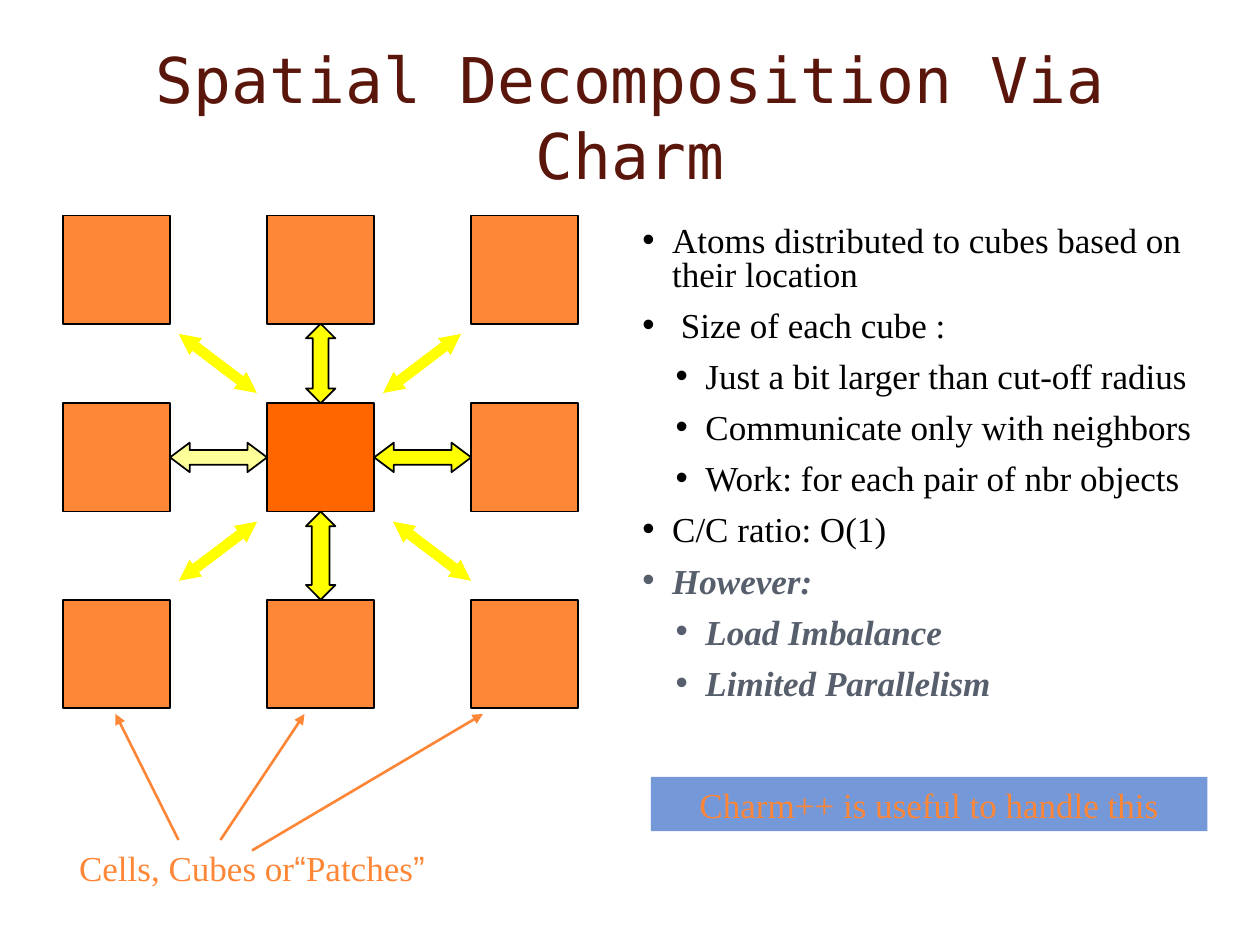
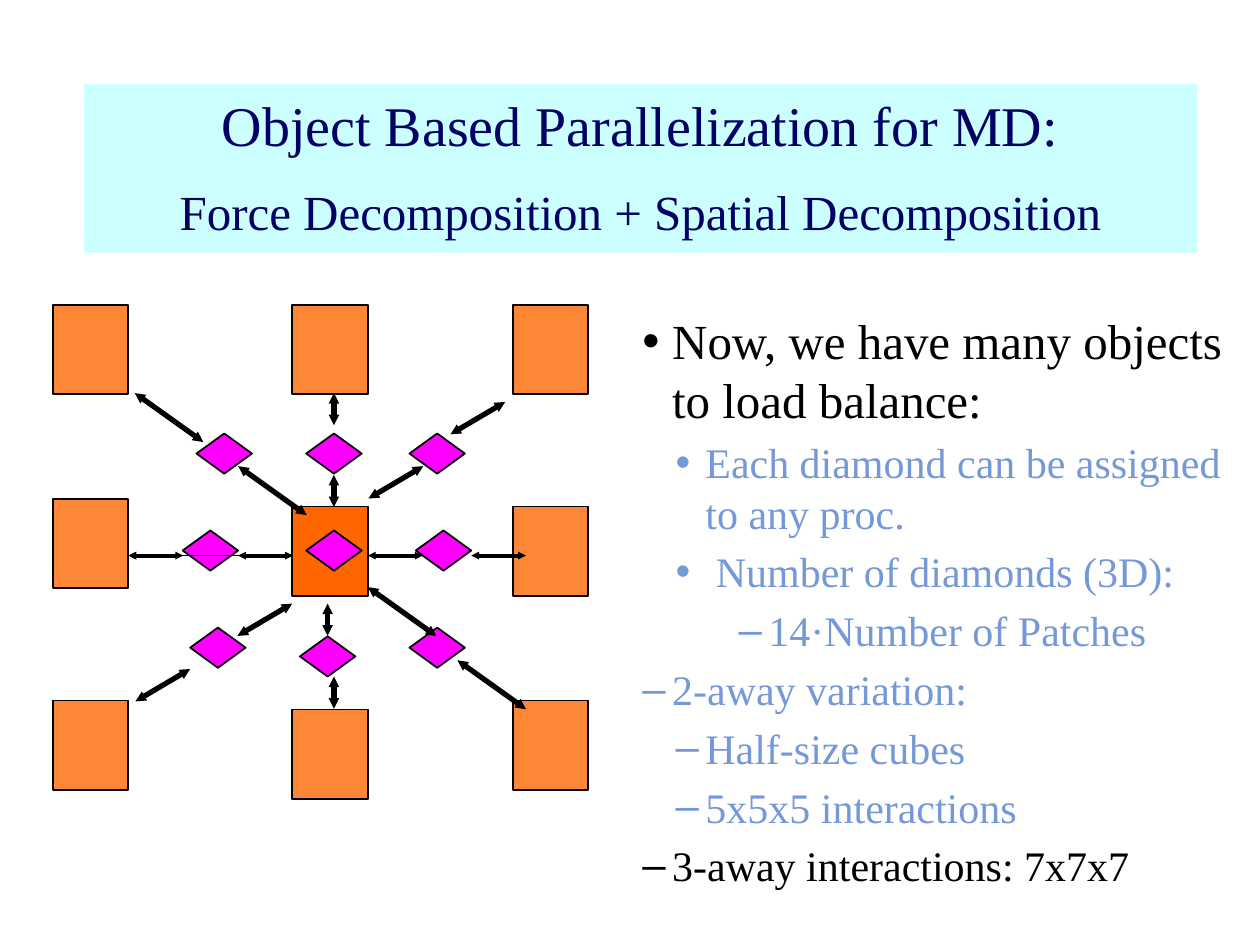
import pptx
import pptx.util
import pptx.dml.color
import pptx.enum.shapes
import pptx.enum.text
import pptx.oxml
import pptx.oxml.ns
import lxml.etree

Pt = pptx.util.Pt
RGBColor = pptx.dml.color.RGBColor
SHAPE = pptx.enum.shapes.MSO_SHAPE
ALIGN = pptx.enum.text.PP_ALIGN
ANCHOR = pptx.enum.text.MSO_ANCHOR
qn = pptx.oxml.ns.qn

BLACK = RGBColor(0x00, 0x00, 0x00)
ORANGE = RGBColor(0xFE, 0x86, 0x37)
HOME_ORANGE = RGBColor(0xFF, 0x66, 0x00)
YELLOW = RGBColor(0xFF, 0xFF, 0x00)
PALE_YELLOW = RGBColor(0xFF, 0xFF, 0x99)
MAGENTA = RGBColor(0xFF, 0x00, 0xFF)
BLUE = RGBColor(0x75, 0x98, 0xD9)
SLATE = RGBColor(0x57, 0x5F, 0x6D)
MAROON = RGBColor(0x5A, 0x16, 0x0B)
NAVY = RGBColor(0x00, 0x00, 0x66)
CYAN = RGBColor(0xCC, 0xFF, 0xFF)

SERIF = "Times New Roman"
SANS = "Arial"
MONO = "DejaVu Sans Mono"
HANGING = 17
LEVEL_MARGINS = (17, 36, 72)


def style_runs(paragraph, size, color, font=SERIF, emphasis=False):
    for run in paragraph.runs:
        run.font.size = Pt(size)
        run.font.name = font
        run.font.color.rgb = color
        if emphasis:
            run.font.bold = run.font.italic = True


def space_before(paragraph, percent):
    paragraph.space_before = Pt(0)
    spacing = paragraph._p.pPr.find(qn("a:spcBef"))
    spacing.remove(spacing[0])
    lxml.etree.SubElement(spacing, qn("a:spcPct"), val=str(percent * 1000))


def add_bullet(paragraph, mark, level):
    properties = paragraph._p.get_or_add_pPr()
    properties.set("marL", str(Pt(LEVEL_MARGINS[level])))
    properties.set("indent", str(-Pt(HANGING)))
    lxml.etree.SubElement(properties, qn("a:buFont"), typeface=SANS)
    lxml.etree.SubElement(properties, qn("a:buChar"), char=mark)


def add_text(slide, left, top, width, height):
    frame = slide.shapes.add_textbox(Pt(left), Pt(top), Pt(width), Pt(height)).text_frame
    frame.word_wrap = True
    return frame


def next_paragraph(frame, index):
    return frame.add_paragraph() if index else frame.paragraphs[0]


def add_bullets(slide, place, items, spacing, line_spacing=None):
    frame = add_text(slide, *place)
    for index, (level, mark, text, size, color, emphasis) in enumerate(items):
        paragraph = next_paragraph(frame, index)
        paragraph.text = text
        paragraph.level = level
        if line_spacing:
            paragraph.line_spacing = line_spacing
        space_before(paragraph, spacing)
        add_bullet(paragraph, mark, level)
        style_runs(paragraph, size, color, emphasis=emphasis)


def add_figure(parent, kind, left, top, width, height, fill, outlined=True):
    figure = parent.shapes.add_shape(kind, Pt(left), Pt(top), Pt(width), Pt(height))
    figure.shadow.inherit = False
    figure.fill.solid()
    figure.fill.fore_color.rgb = fill
    if outlined:
        figure.line.color.rgb = BLACK
        figure.line.width = Pt(1)
    else:
        figure.line.fill.background()
    return figure


def add_banner(slide, place, fill, lines, color):
    frame = add_figure(slide, SHAPE.RECTANGLE, *place, fill, outlined=False).text_frame
    frame.word_wrap = True
    frame.vertical_anchor = ANCHOR.TOP
    for index, (text, size) in enumerate(lines):
        paragraph = next_paragraph(frame, index)
        paragraph.text = text
        paragraph.alignment = ALIGN.CENTER
        space_before(paragraph, 50)
        style_runs(paragraph, size, color)


def add_arrow(parent, ends, color, width, double=True):
    arrow = parent.shapes.add_connector(
        pptx.enum.shapes.MSO_CONNECTOR.STRAIGHT, *(Pt(value) for value in ends))
    arrow.line.color.rgb = color
    arrow.line.width = Pt(width)
    outline = arrow.line._get_or_add_ln()
    size = "sm" if double else "med"
    for end in ("a:headEnd", "a:tailEnd") if double else ("a:tailEnd",):
        lxml.etree.SubElement(outline, qn(end), type="triangle", w=size, len=size)
    lxml.etree.SubElement(arrow._element.spPr, qn("a:effectLst"))


def add_block_arrow(parent, kind, place, fill, head):
    arrow = add_figure(parent, kind, *place, fill)
    arrow.adjustments[0] = 0.5
    arrow.adjustments[1] = head


def draw_neighbor_grid(slide):
    grid = slide.shapes.add_group_shape()
    columns = [36 + 116.64 * column for column in range(3)]
    rows = (123.1, 230.4, 342.7)
    width, height = 61.2, 61.9
    for row, top in enumerate(rows):
        for column, left in enumerate(columns):
            fill = HOME_ORANGE if row == column == 1 else ORANGE
            add_figure(grid, SHAPE.RECTANGLE, left, top, width, height, fill)

    thickness = 16.8
    middle_top = rows[1] + (height - thickness) / 2
    middle_left = columns[1] + (width - thickness) / 2
    for index, fill in enumerate((PALE_YELLOW, YELLOW)):
        start = columns[index] + width
        place = (start, middle_top, columns[index + 1] - start, thickness)
        add_block_arrow(grid, SHAPE.LEFT_RIGHT_ARROW, place, fill, 0.667)
    for index, head in enumerate((0.533, 0.6)):
        start = rows[index] + height
        place = (middle_left, start, thickness, rows[index + 1] - start)
        add_block_arrow(grid, SHAPE.UP_DOWN_ARROW, place, YELLOW, head)

    for x, y, run in ((102.2, 190.8, 44.6), (224.6, 298.1, 44.6),
                      (263.5, 190.8, -44.6), (146.9, 298.1, -44.6)):
        add_arrow(grid, (x, y, x + run, y + 33.8), YELLOW, 6)


def draw_diamond_grid(slide):
    grid = slide.shapes.add_group_shape()
    left, center, right = 30.2, 167, 293
    for x, y in ((left, 174.2), (center, 174.2), (right, 174.2),
                 (left, 285.1), (center, 289.4), (right, 289.4),
                 (left, 400.3), (center, 405.4), (right, 400.3)):
        fill = HOME_ORANGE if (x, y) == (center, 289.4) else ORANGE
        add_figure(grid, SHAPE.RECTANGLE, x, y, 43.2, 51.1, fill)

    def add_diamond(x, y):
        add_figure(grid, SHAPE.DIAMOND, x, y, 31.7, 23, MAGENTA)

    for x, y in ((104.4, 303.1), (112.3, 247.7), (108.7, 358.6), (171.4, 363.6),
                 (234, 358.6), (234, 247.7), (175, 247.7), (237.6, 303.1)):
        add_diamond(x, y)

    axis = 317.5
    for x in (73.4, 210.2, 269.3, 136.1):
        add_arrow(grid, (x, axis, x + 31.3, axis), BLACK, 2.25)

    rising, falling, upright = (-31.3, 18.5), (39.2, 28), (0, 18.4)
    links = (
        (rising, ((167, 344.9), (108.7, 382.3), (288.7, 229.7), (241.9, 266.4))),
        (upright, ((190.8, 224.6), (190.8, 271.4), (187.2, 344.9), (190.8, 386.6))),
        (falling, ((77, 224.6), (136.1, 266.4), (261.4, 377.3), (210.2, 335.5))),
    )
    for (run, drop), starts in links:
        for x, y in starts:
            add_arrow(grid, (x, y, x + run, y + drop), BLACK, 3)
    add_arrow(grid, (73.4, axis, center, axis), BLACK, 1)
    add_diamond(175, 303.1)


def build_spatial_slide(slide):
    title = add_text(slide, 36, 21.6, 648, 90)
    title.vertical_anchor = ANCHOR.MIDDLE
    title.text = "Spatial Decomposition Via Charm"
    title.paragraphs[0].alignment = ALIGN.CENTER
    style_runs(title.paragraphs[0], 36, MAROON, MONO)

    draw_neighbor_grid(slide)

    points = (
        (0, "Atoms distributed to cubes based on their location"),
        (0, " Size of each cube :"),
        (1, "Just a bit larger than cut-off radius"),
        (1, "Communicate only with neighbors"),
        (1, "Work: for each pair of nbr objects"),
        (0, "C/C ratio: O(1)"),
    )
    drawbacks = ((0, "However:"), (1, "Load Imbalance"), (1, "Limited Parallelism"))
    items = [(level, "•", text, 20, BLACK, False) for level, text in points]
    items += [(level, "•", text, 20, SLATE, True) for level, text in drawbacks]
    add_bullets(slide, (360, 126, 336, 327), items, 50, 0.8)

    caption = add_text(slide, 18, 480, 252, 31).paragraphs[0]
    caption.alignment = ALIGN.CENTER
    space_before(caption, 50)
    pieces = (("Cells, Cubes or", SERIF), ("“", SANS), ("Patches", SERIF), ("”", SANS))
    for text, _ in pieces:
        caption.add_run().text = text
    style_runs(caption, 20, ORANGE)
    for run, (_, font) in zip(caption.runs, pieces):
        run.font.name = font

    for x, y, target in ((102, 480, 66), (144, 486, 276), (126, 480, 174)):
        add_arrow(slide, (x, y, target, 408), ORANGE, 1.5, double=False)

    add_banner(slide, (372, 444, 318, 31), BLUE,
               (("Charm++ is useful to handle this", 20),), ORANGE)


def build_force_slide(slide):
    draw_diamond_grid(slide)
    add_banner(slide, (48, 48, 636, 96.5), CYAN,
               (("Object Based Parallelization for MD:", 32),
                ("Force Decomposition + Spatial Decomposition", 28)), NAVY)
    details = (
        (1, "•", "Each diamond can be assigned to any proc."),
        (1, "•", " Number of diamonds (3D):"),
        (2, "–", "14·Number of Patches"),
        (0, "–", "2-away variation:"),
        (1, "–", "Half-size cubes"),
        (1, "–", "5x5x5 interactions"),
    )
    items = [(0, "•", "Now, we have many objects to load balance:", 28, BLACK, False)]
    items += [(*detail, 24, BLUE, False) for detail in details]
    items.append((0, "–", "3-away interactions: 7x7x7", 24, BLACK, False))
    add_bullets(slide, (360, 174, 348, 345), items, 20)


def main():
    presentation = pptx.Presentation()
    presentation.slide_width = Pt(720)
    presentation.slide_height = Pt(540)
    blank = presentation.slide_layouts[6]
    for build in (build_spatial_slide, build_force_slide):
        build(presentation.slides.add_slide(blank))
    presentation.save("out.pptx")


main()
